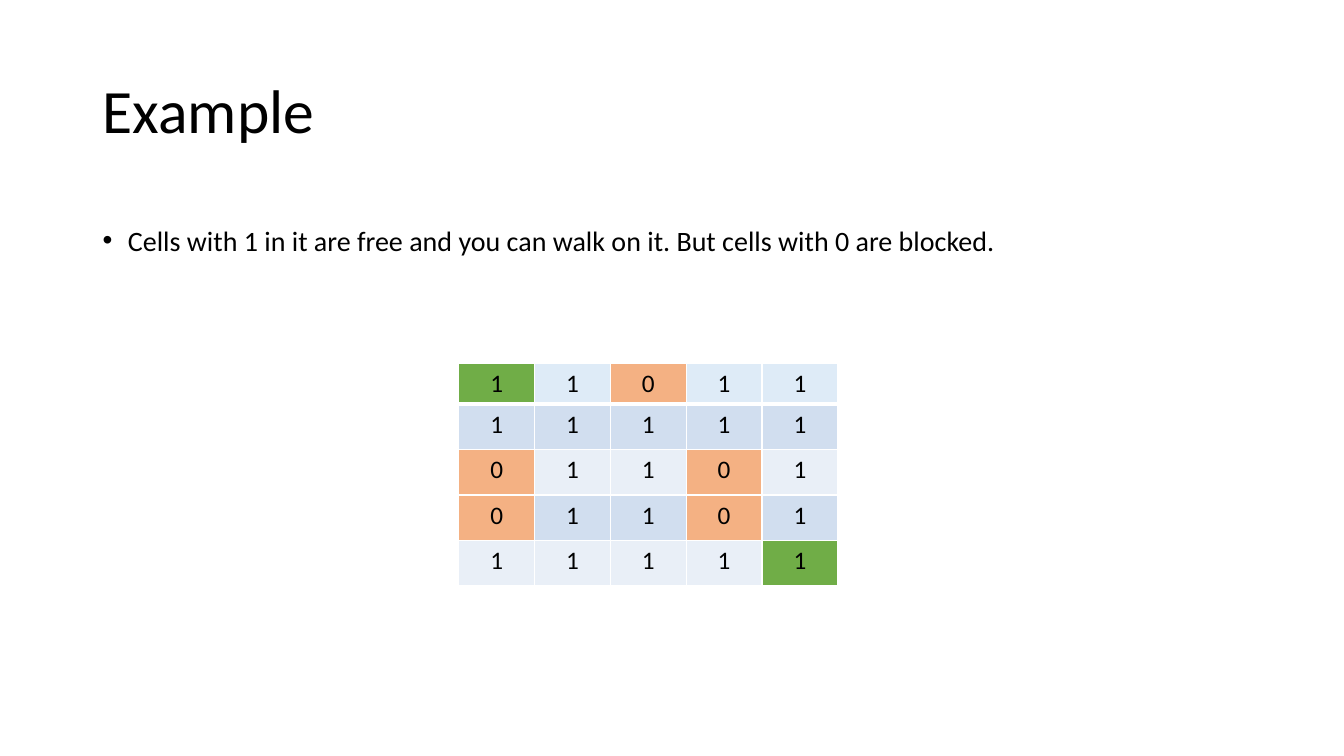
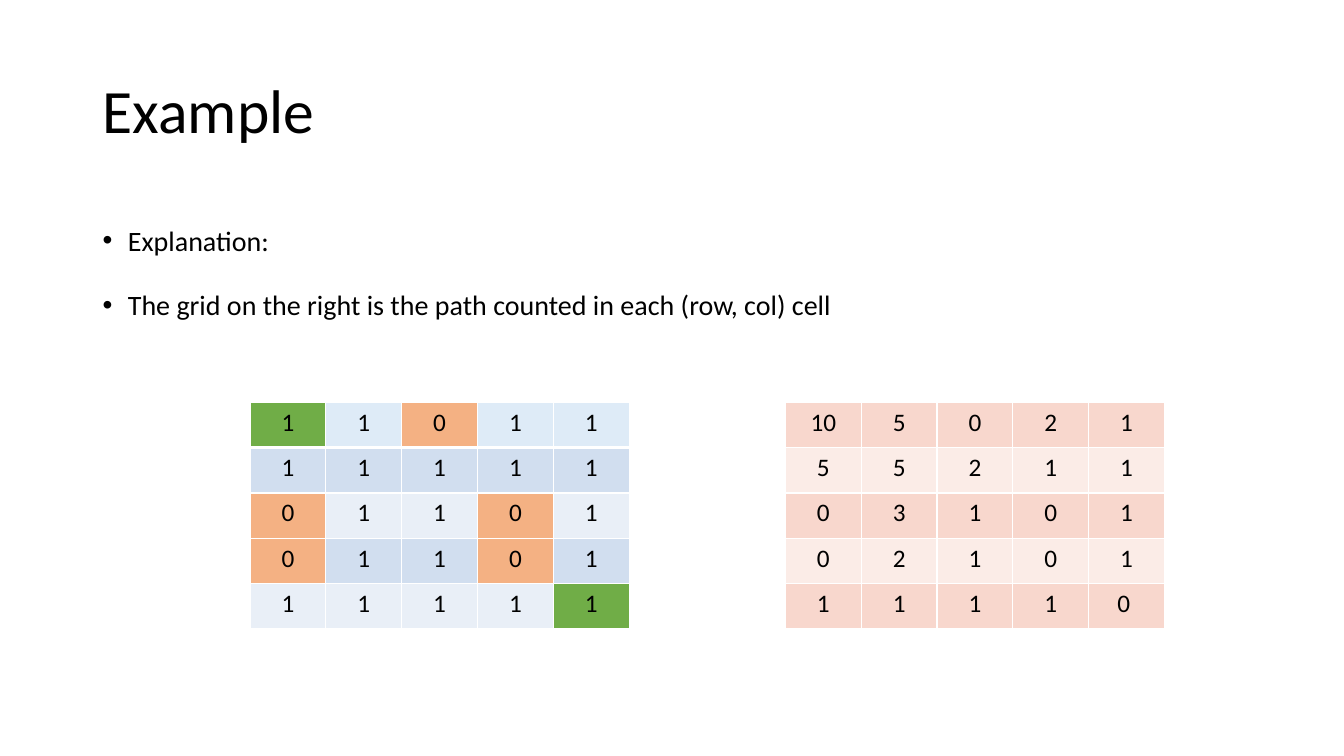
from lxml.etree import SubElement
from pptx import Presentation
from pptx.dml.color import RGBColor
from pptx.enum.text import MSO_ANCHOR, PP_ALIGN
from pptx.oxml.ns import qn
from pptx.util import Inches, Pt

FONT = "Calibri"
BLACK, WHITE = "000000", "FFFFFF"
GREEN, ORANGE, HEADER = "70AD47", "F4B183", "DEEBF7"
BLUE_BANDS = ("E9EFF7", "D1DEEF")
PINK_BANDS = ("F8D7CD", "FBECE7")
COL_W, ROW_H = 3.76 / 5, 0.45
THIN, THICK = 0.96, 3

MAZE = ["11011", "11111", "01101", "01101", "11111"]
PATHS = [
    ["10", "5", "0", "2", "1"],
    ["5", "5", "2", "1", "1"],
    ["0", "3", "1", "0", "1"],
    ["0", "2", "1", "0", "1"],
    ["1", "1", "1", "1", "0 "],
]


def maze_fill(row, col, value):
    if (row, col) in ((0, 0), (4, 4)):
        return GREEN
    if value == "0":
        return ORANGE
    return HEADER if row == 0 else BLUE_BANDS[row % 2]


def path_fill(row, col, value):
    return PINK_BANDS[row % 2]


SLIDES = [
    {
        "title": "Example",
        "bullets": ["Cells with 1 in it are free and you can walk on it. But cells with 0 are blocked."],
        "grids": [(MAZE, 4.55, 3.61, 0.39, maze_fill, THICK)],
    },
    {
        "title": "Example",
        "bullets": ["Explanation:", "The grid on the right is the path counted in each (row, col) cell"],
        "grids": [
            (PATHS, 7.79, 3.99, ROW_H, path_fill, THIN),
            (MAZE, 2.48, 3.99, ROW_H, maze_fill, THICK),
        ],
    },
]


def rgb(value):
    return RGBColor.from_string(value)


def write(p, text, size=18, color=BLACK, align=None, spacing=None, before=None, bullet=False):
    r = p.add_run()
    r.text = text
    r.font.name, r.font.size = FONT, Pt(size)
    r.font.color.rgb = rgb(color)
    p.alignment = align
    p.line_spacing = spacing
    if before is not None:
        p.space_before = Pt(before)
    if bullet:
        pPr = p._p.get_or_add_pPr()
        pPr.set("marL", str(Inches(0.25)))
        pPr.set("indent", str(Inches(-0.25)))
        SubElement(pPr, qn("a:buFont"), typeface="Arial")
        SubElement(pPr, qn("a:buChar"), char="•")


def add_box(s, top, height, lines, anchor=MSO_ANCHOR.TOP, **fmt):
    tf = s.shapes.add_textbox(Inches(0.92), Inches(top), Inches(11.5), Inches(height)).text_frame
    tf.word_wrap = True
    tf.vertical_anchor = anchor
    for i, line in enumerate(lines):
        write(tf.add_paragraph() if i else tf.paragraphs[0], line, **fmt)


def set_borders(cell, top, bottom):
    tcPr = cell._tc.get_or_add_tcPr()
    for side, width in (("L", THIN), ("R", THIN), ("T", top), ("B", bottom)):
        ln = SubElement(tcPr, qn("a:ln" + side), w=str(Pt(width)))
        SubElement(SubElement(ln, qn("a:solidFill")), qn("a:srgbClr"), val=WHITE)


def add_grid(s, values, left, top, first_h, fill, rule):
    heights = [first_h] + [ROW_H] * (len(values) - 1)
    cols = len(values[0])
    table = s.shapes.add_table(len(values), cols, Inches(left), Inches(top),
                               Inches(COL_W * cols), Inches(sum(heights))).table
    for column in table.columns:
        column.width = Inches(COL_W)
    for row, height in enumerate(heights):
        table.rows[row].height = Inches(height)
        for col, value in enumerate(values[row]):
            cell = table.cell(row, col)
            set_borders(cell, rule if row == 1 else THIN, rule if row == 0 else THIN)
            cell.fill.solid()
            cell.fill.fore_color.rgb = rgb(fill(row, col, value))
            write(cell.text_frame.paragraphs[0], value, align=PP_ALIGN.CENTER)


prs = Presentation()
prs.slide_width, prs.slide_height = Inches(13.33), Inches(7.5)
for content in SLIDES:
    s = prs.slides.add_slide(prs.slide_layouts[6])
    add_box(s, 0.4, 1.45, [content["title"]], MSO_ANCHOR.MIDDLE, size=44, spacing=0.9)
    add_box(s, 2, 4.76, content["bullets"], size=20, spacing=1.5, before=10, bullet=True)
    for grid in content["grids"]:
        add_grid(s, *grid)
prs.save("out.pptx")
